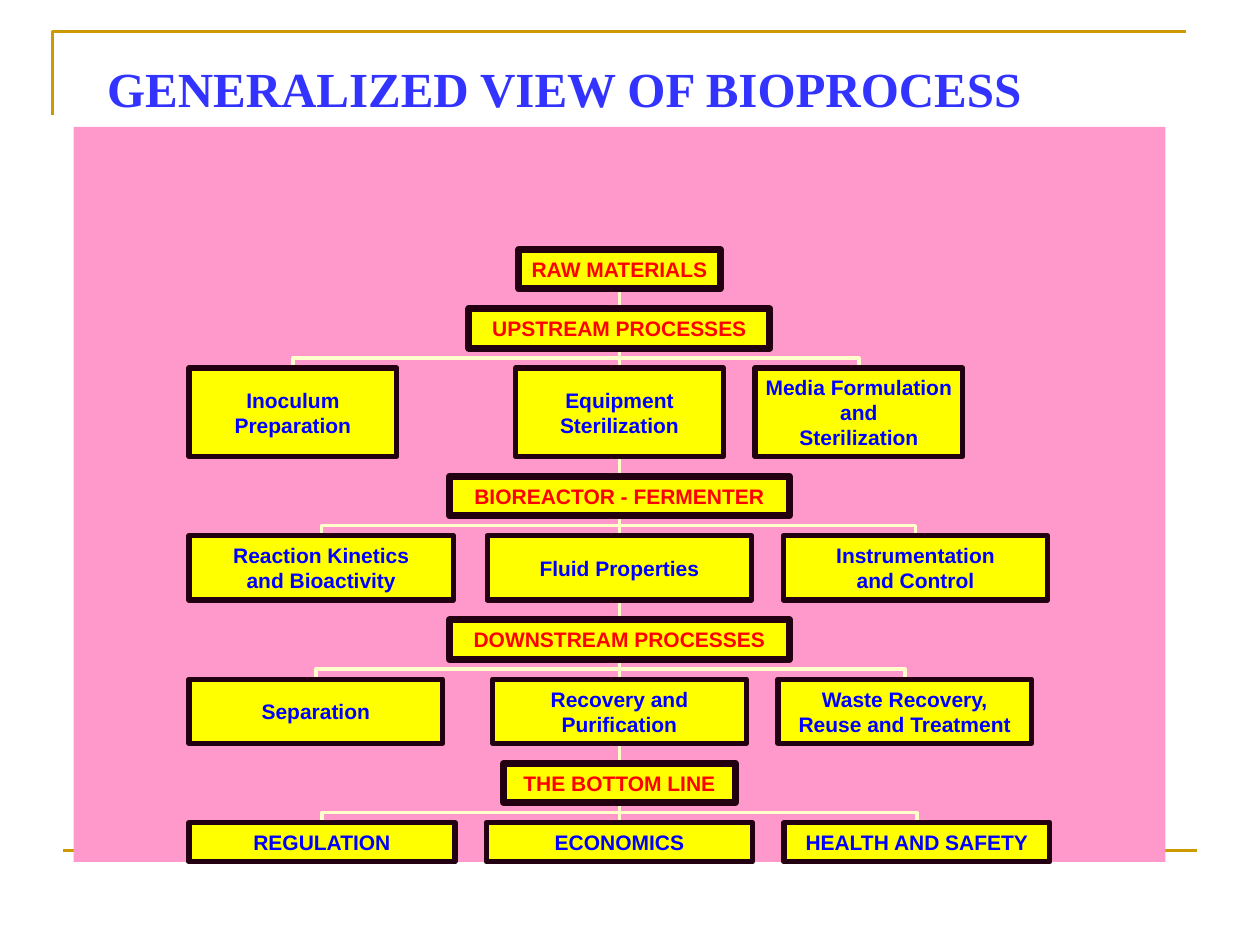
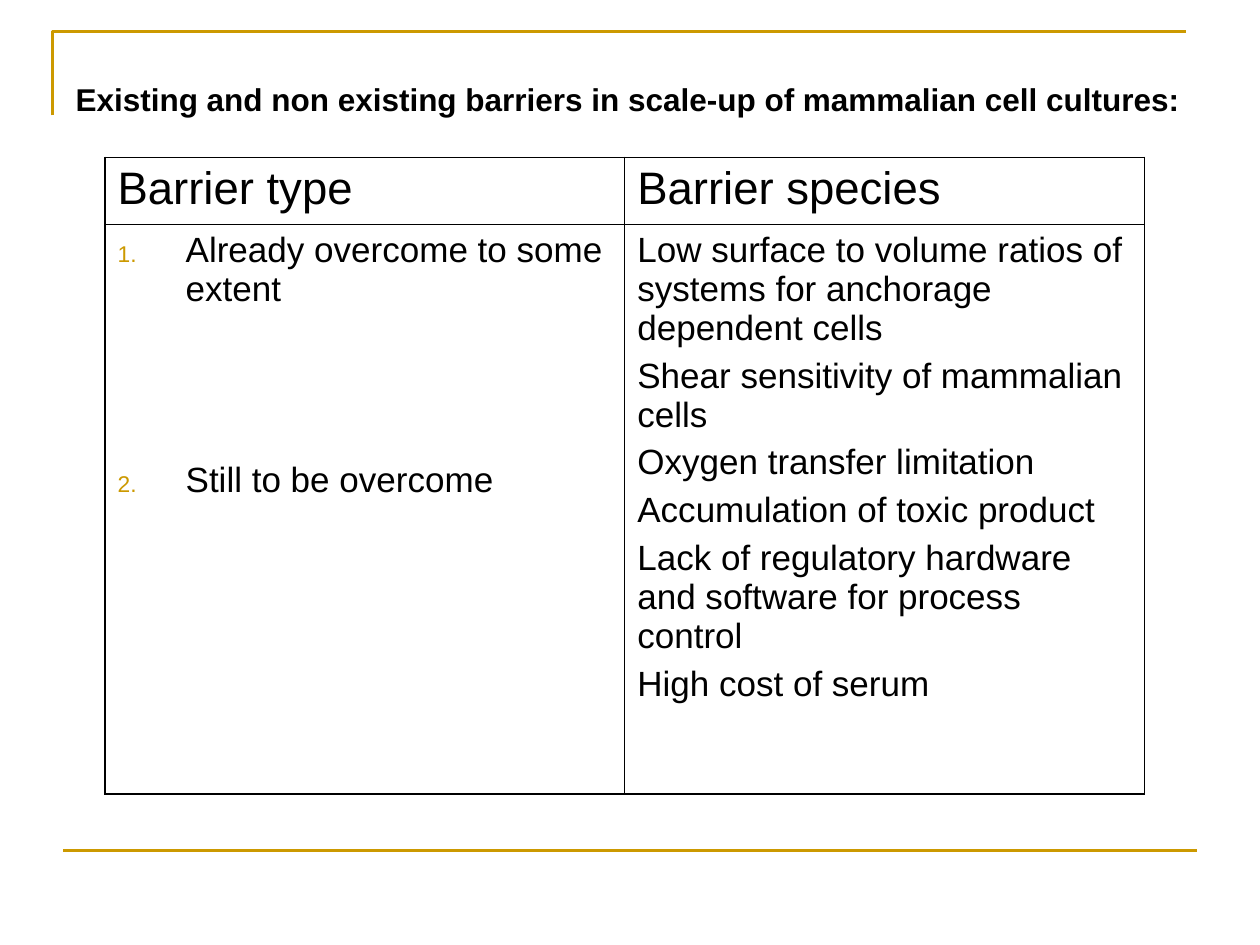
from dataclasses import dataclass

from lxml import etree
from pptx import Presentation
from pptx.dml.color import RGBColor
from pptx.enum.shapes import MSO_CONNECTOR, MSO_SHAPE
from pptx.enum.text import MSO_ANCHOR, MSO_AUTO_SIZE, PP_ALIGN
from pptx.oxml.ns import qn
from pptx.util import Pt

RECTANGLE = MSO_SHAPE.RECTANGLE
STRAIGHT, ELBOW = MSO_CONNECTOR.STRAIGHT, MSO_CONNECTOR.ELBOW
TOP, MIDDLE = MSO_ANCHOR.TOP, MSO_ANCHOR.MIDDLE
LEFT, CENTER = PP_ALIGN.LEFT, PP_ALIGN.CENTER
TOP_SITE, BOTTOM_SITE = 0, 2

GOLD, PINK, YELLOW, CREAM = "CC9900", "FF99CC", "FFFF00", "FFFFCC"
BLACK, BOX_BORDER = "000000", "220011"
TITLE_BLUE, STAGE_RED, STEP_BLUE = "3333FF", "FF0000", "0000FF"
SANS, SERIF = "Arial", "Times New Roman"

SPINE = 354
FIRST_STEP_LEFT = 108
STEP_GAP = 18
CHART_TOP = 142.6
STAGE_HEIGHT = 22.5
ROW_GAP = 11.4


@dataclass
class TextStyle:
    size: float
    color: str
    font: str = SANS
    bold: bool = False


@dataclass
class BoxStyle:
    text: TextStyle
    border: float


@dataclass
class Stage:
    """A heading box with an optional row of three step boxes below it."""
    name: str
    width: float
    steps: tuple[str, ...] = ()
    step_width: float = 0
    step_height: float = 0


STAGE_BOX = BoxStyle(TextStyle(12, STAGE_RED, bold=True), 4)
STEP_BOX = BoxStyle(TextStyle(12, STEP_BLUE, bold=True), 3)
HEADER_TEXT = TextStyle(26, BLACK)
BODY_TEXT = TextStyle(20, BLACK)

STAGES = [
    Stage("RAW MATERIALS", 115),
    Stage("UPSTREAM PROCESSES", 172,
          ("Inoculum\nPreparation", "Equipment\nSterilization",
           "Media Formulation\nand\nSterilization"), 118.8, 50.4),
    Stage("BIOREACTOR - FERMENTER", 194.4,
          ("Reaction Kinetics\nand Bioactivity", "Fluid Properties",
           "Instrumentation\nand Control"), 151.2, 36.7),
    Stage("DOWNSTREAM PROCESSES", 194.4,
          ("Separation", "Recovery and\nPurification",
           "Waste Recovery,\nReuse and Treatment"), 145, 36.7),
    Stage("THE BOTTOM LINE", 132.5,
          ("REGULATION", "ECONOMICS", "HEALTH AND SAFETY"), 152, 22.4),
]

HEADERS = ("Barrier type", "Barrier species")
BARRIER_TYPES = ("Already overcome to some extent", "Still to be overcome")
BARRIER_SPECIES = (
    "Low surface to volume ratios of systems for anchorage dependent cells",
    "Shear sensitivity of mammalian cells",
    "Oxygen transfer limitation",
    "Accumulation of toxic product",
    "Lack of regulatory hardware and software for process control",
    "High cost of serum",
)


def rgb(color: str) -> RGBColor:
    return RGBColor.from_string(color)


def set_attributes(target, values: dict) -> None:
    for name, value in values.items():
        setattr(target, name, value)


def style_paragraph(paragraph, style: TextStyle, **values) -> None:
    set_attributes(paragraph, values)
    set_attributes(paragraph.font, {"size": Pt(style.size), "name": style.font,
                                    "bold": style.bold})
    paragraph.font.color.rgb = rgb(style.color)


def style_line(line, color: str, width: float) -> None:
    line.color.rgb = rgb(color)
    line.width = Pt(width)


def add_line(slide, kind, start: tuple, end: tuple, color: str, width: float):
    connector = slide.shapes.add_connector(kind, *map(Pt, start + end))
    style_line(connector.line, color, width)
    etree.SubElement(connector.element.spPr, qn("a:effectLst"))
    return connector


def add_framed_slide(deck, title: str, box: tuple, style: TextStyle, anchor):
    """Add a title-only slide with the gold corner, footer rule and title."""
    slide = deck.slides.add_slide(deck.slide_layouts[5])
    outline = slide.shapes.build_freeform(Pt(30), Pt(66), 1.0)
    outline.add_line_segments([(Pt(30), Pt(18)), (Pt(678), Pt(18))], close=False)
    corner = outline.convert_to_shape()
    corner.shadow.inherit = False
    corner.fill.background()
    style_line(corner.line, GOLD, 1.5)
    add_line(slide, STRAIGHT, (36, 486), (684, 486), GOLD, 1.5)

    heading = slide.shapes.title
    set_attributes(heading, dict(zip(("left", "top", "width", "height"), map(Pt, box))))
    heading.text_frame.text = title
    set_attributes(heading.text_frame, {
        "word_wrap": True, "auto_size": MSO_AUTO_SIZE.NONE,
        "vertical_anchor": anchor})
    style_paragraph(heading.text_frame.paragraphs[0], style, alignment=LEFT)
    return slide


def add_rectangle(slide, box: tuple, fill: str):
    shape = slide.shapes.add_shape(RECTANGLE, *map(Pt, box))
    shape.shadow.inherit = False
    shape.fill.solid()
    shape.fill.fore_color.rgb = rgb(fill)
    shape.line.fill.background()
    return shape


def add_box(slide, text: str, box: tuple, style: BoxStyle):
    shape = add_rectangle(slide, box, YELLOW)
    style_line(shape.line, BOX_BORDER, style.border)
    frame = shape.text_frame
    frame.text = text
    set_attributes(frame, {
        "word_wrap": False, "vertical_anchor": MIDDLE,
        "margin_left": Pt(4.5), "margin_right": Pt(4.5),
        "margin_top": Pt(2.25), "margin_bottom": Pt(2.25)})
    for paragraph in frame.paragraphs:
        style_paragraph(paragraph, style.text, alignment=CENTER)
    return shape


def link_straight(slide, panel, lower, upper) -> None:
    link = add_line(slide, STRAIGHT, (0, 0), (0, 0), CREAM, 2)
    link.begin_connect(lower, TOP_SITE)
    link.end_connect(upper, BOTTOM_SITE)
    panel.element.addnext(link.element)


def link_elbow(slide, panel, lower, upper) -> None:
    """Join a step to its stage with an elbow that leaves the step vertically."""
    start_x = lower.left + lower.width // 2
    end_x = upper.left + upper.width // 2
    end_y = upper.top + upper.height
    rise, run = lower.top - end_y, abs(end_x - start_x)
    link = add_line(slide, ELBOW, (0, 0), (0, 0), CREAM, 2)
    set_attributes(link, {
        "left": (start_x + end_x - rise) // 2,
        "top": (lower.top + end_y - run) // 2,
        "width": rise, "height": run})
    xfrm = link.element.spPr.find(qn("a:xfrm"))
    on_left = start_x < end_x
    xfrm.set("rot", str((90 if on_left else 270) * 60000))
    xfrm.set("flipH", str(int(on_left)))
    xfrm.set("flipV", "1")
    panel.element.addnext(link.element)


def build_process_slide(deck) -> None:
    slide = add_framed_slide(deck, "GENERALIZED VIEW OF BIOPROCESS", (54, 30, 612, 90),
                             TextStyle(28, TITLE_BLUE, SERIF, True), TOP)
    panel = add_rectangle(slide, (42, 72.5, 624, 420), PINK)
    top, above = CHART_TOP, None
    for stage in STAGES:
        heading = add_box(slide, stage.name,
                          (SPINE - stage.width / 2, top, stage.width, STAGE_HEIGHT),
                          STAGE_BOX)
        if above:
            link_straight(slide, panel, heading, above)
        above = heading
        top += STAGE_HEIGHT + ROW_GAP
        if not stage.steps:
            continue
        middle_left = SPINE - stage.step_width / 2
        lefts = (FIRST_STEP_LEFT, middle_left, middle_left + stage.step_width + STEP_GAP)
        first, middle, last = [
            add_box(slide, step, (left, top, stage.step_width, stage.step_height), STEP_BOX)
            for step, left in zip(stage.steps, lefts)]
        link_straight(slide, panel, middle, heading)
        for side in (first, last):
            link_elbow(slide, panel, side, heading)
        above = middle
        top += stage.step_height + ROW_GAP


def set_borders(cell, widths: dict[str, float]) -> None:
    properties = cell._tc.get_or_add_tcPr()
    for side, width in widths.items():
        border = etree.SubElement(properties, qn(f"a:ln{side}"), w=str(Pt(width)))
        fill = etree.SubElement(border, qn("a:solidFill"))
        etree.SubElement(fill, qn("a:srgbClr"), val=BLACK)


def add_number(paragraph) -> None:
    properties = paragraph._p.get_or_add_pPr()
    properties.set("marL", str(Pt(38.9)))
    properties.set("indent", str(-Pt(38.9)))
    color = etree.SubElement(properties, qn("a:buClr"))
    etree.SubElement(color, qn("a:srgbClr"), val=GOLD)
    etree.SubElement(properties, qn("a:buSzPct"), val="65000")
    etree.SubElement(properties, qn("a:buAutoNum"), type="arabicPeriod")


def fill_cell(cell, lines: tuple, style: TextStyle, gap: float = 0,
              numbered: bool = False) -> None:
    cell.text_frame.text = "\n".join(lines)
    for index, paragraph in enumerate(cell.text_frame.paragraphs):
        if numbered:
            add_number(paragraph)
        style_paragraph(paragraph, style, space_before=Pt(gap if index else 0))


def build_barrier_slide(deck) -> None:
    slide = add_framed_slide(
        deck, "Existing and non existing barriers in scale-up of mammalian cell cultures:",
        (36, 22.5, 648, 68.4), TextStyle(18, BLACK, bold=True), MIDDLE)
    table = slide.shapes.add_table(2, 2, Pt(60), Pt(90), Pt(594), Pt(363.6)).table
    set_attributes(table, {"first_row": False, "horz_banding": False})
    for column in table.columns:
        column.width = Pt(297)
    for row, height in zip(table.rows, (38.2, 325.4)):
        row.height = Pt(height)

    outer, inner = 1.08, 0.45
    for row in range(2):
        for column in range(2):
            cell = table.cell(row, column)
            set_borders(cell, {"L": inner if column else outer,
                               "R": outer if column else inner,
                               "T": inner if row else outer,
                               "B": outer if row else inner})
            cell.fill.background()
    for column, header in enumerate(HEADERS):
        fill_cell(table.cell(0, column), (header,), HEADER_TEXT)
    fill_cell(table.cell(1, 0), BARRIER_TYPES, BODY_TEXT, gap=86.8, numbered=True)
    fill_cell(table.cell(1, 1), BARRIER_SPECIES, BODY_TEXT, gap=5)


def main() -> None:
    deck = Presentation()
    deck.slide_width, deck.slide_height = Pt(720), Pt(540)
    build_process_slide(deck)
    build_barrier_slide(deck)
    deck.save("out.pptx")


if __name__ == "__main__":
    main()
